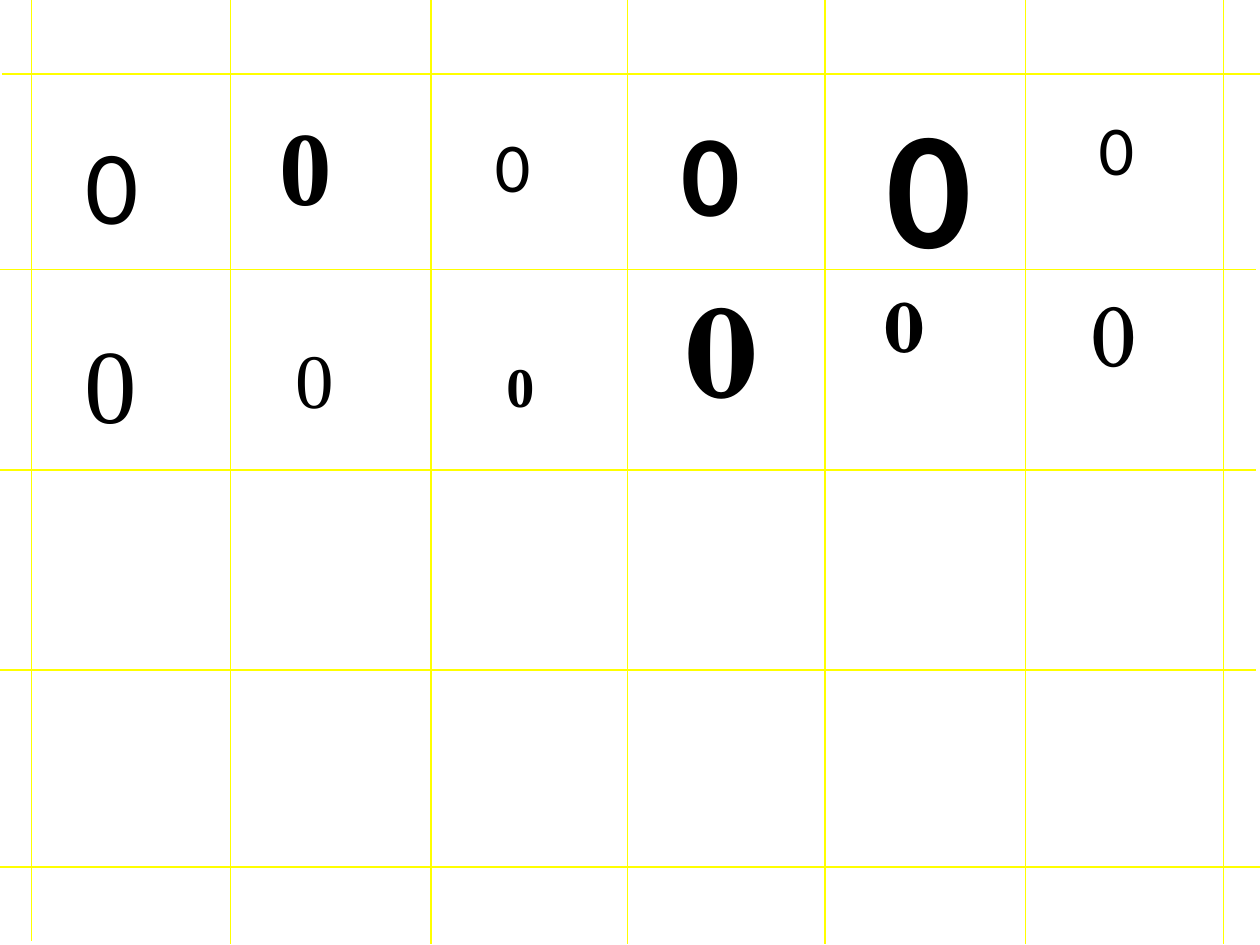
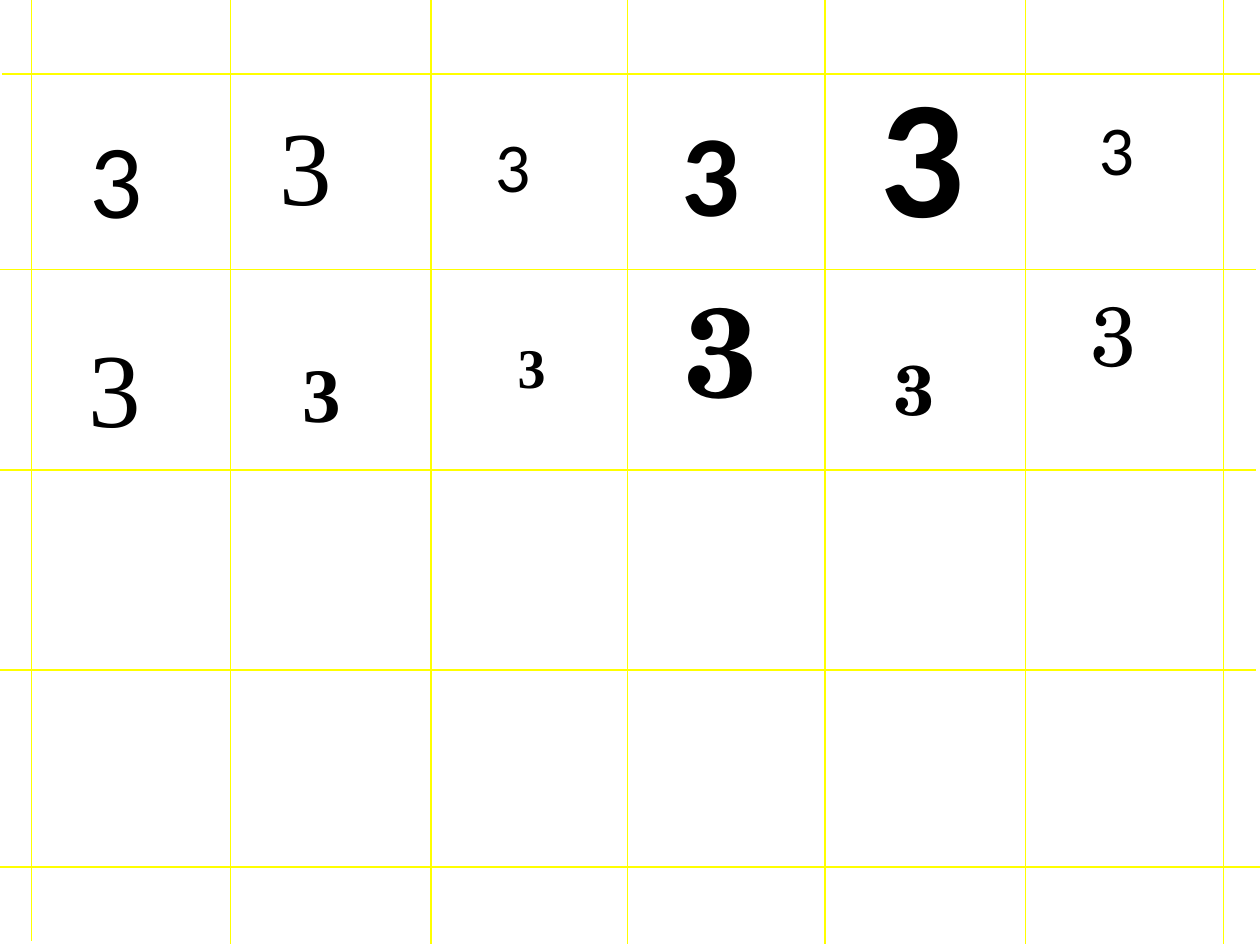
import dataclasses

import pptx
import pptx.dml.color
import pptx.enum.shapes
import pptx.enum.text
import pptx.oxml.ns
import pptx.util
from lxml import etree

Inches = pptx.util.Inches


@dataclasses.dataclass(frozen=True)
class Theme:
    """Colours, fonts, type sizes and line widths of the deck."""
    ink: str = "000000"
    paper: str = "FFFFFF"
    grid: str = "FFFF00"
    grid_width: float = 1
    sans: str = "Calibri"
    serif: str = "Times New Roman"
    school: str = "TeX Gyre Schola"
    tiny: int = 32
    small: int = 40
    medium: int = 44
    large: int = 48
    display: int = 60
    heavy: int = 66
    poster: int = 72
    giant: int = 96


THEME = Theme()
WIDTH, HEIGHT = 10, 7.5
DIGIT_WIDTH = 0.79
BOX_PADDING, LINE_HEIGHT = 0.1, 0.0168

COLUMN_STARTS = {1.83: -0.01, 3.42: -0.01, 4.98: -0.01, 6.55: -0.01,
                 8.14: -0.01, 9.71: -0.01, 0.25: -0.03}
ROW_STARTS = {0.59: 0.02, 3.73: -0.03, 5.32: -0.03, 2.14: -0.03, 6.88: 0}

SAMPLES = {
    "sans display": (0.58, 0.9, THEME.sans, THEME.display, False),
    "serif display top": (2.12, 0.75, THEME.serif, THEME.display, True),
    "sans small": (3.83, 0.92, THEME.sans, THEME.small, False),
    "serif display": (0.57, 2.48, THEME.serif, THEME.display, False),
    "serif medium": (2.25, 2.58, THEME.serif, THEME.medium, False),
    "serif tiny": (3.92, 2.74, THEME.serif, THEME.tiny, True),
    "school poster": (5.34, 2.11, THEME.school, THEME.poster, True),
    "school small": (6.92, 2.19, THEME.school, THEME.small, True),
    "school large": (8.56, 2.19, THEME.school, THEME.large, False),
    "sans heavy": (5.31, 0.75, THEME.sans, THEME.heavy, True),
    "sans giant": (6.94, 0.59, THEME.sans, THEME.giant, True),
    "sans small right": (8.62, 0.79, THEME.sans, THEME.small, False),
}
THREE_CHANGES = {
    "sans display": (0.61, 0.85, THEME.sans, THEME.display, False),
    "serif display top": (2.12, 0.75, THEME.serif, THEME.display, False),
    "serif display": (0.6, 2.51, THEME.serif, THEME.display, False),
    "serif medium": (2.3, 2.69, THEME.serif, THEME.medium, True),
    "serif tiny": (4.01, 2.59, THEME.serif, THEME.tiny, True),
    "school small": (7, 2.69, THEME.school, THEME.small, True),
    "sans giant": (6.88, 0.34, THEME.sans, THEME.giant, True),
}
DIGIT_SLIDES = {"0": SAMPLES, "3": SAMPLES | THREE_CHANGES}


def rgb(value):
    """Return a colour for a hex string."""
    return pptx.dml.color.RGBColor.from_string(value)


def set_values(target, values):
    """Set each named attribute of the target."""
    for name, value in values.items():
        setattr(target, name, value)


def add_digit(s, digit, left, top, font, size, bold):
    """Add one digit in the given typeface, size and weight."""
    height = size * LINE_HEIGHT + BOX_PADDING
    sp = s.shapes.add_textbox(*map(Inches, (left, top, DIGIT_WIDTH, height)))
    tf = sp.text_frame
    set_values(tf, {"word_wrap": True,
                    "auto_size": pptx.enum.text.MSO_AUTO_SIZE.SHAPE_TO_FIT_TEXT})
    r = tf.paragraphs[0].add_run()
    r.text = digit
    set_values(r.font, {"name": font, "size": pptx.util.Pt(size), "bold": bold})
    r.font.color.rgb = rgb(THEME.ink)


def add_grid_line(s, x1, y1, x2, y2):
    """Add one straight grid line."""
    straight = pptx.enum.shapes.MSO_CONNECTOR.STRAIGHT
    line = s.shapes.add_connector(straight, *map(Inches, (x1, y1, x2, y2)))
    line.line.color.rgb = rgb(THEME.grid)
    line.line.width = pptx.util.Pt(THEME.grid_width)
    properties = line._element.spPr
    etree.SubElement(properties, pptx.oxml.ns.qn("a:effectLst"))


def add_grid(s):
    """Add the column and row lines shared by the slides."""
    for x, start in COLUMN_STARTS.items():
        add_grid_line(s, x, start, x, start + HEIGHT)
    for y, start in ROW_STARTS.items():
        add_grid_line(s, start, y, start + WIDTH, y)


def add_digit_slide(prs, digit, samples):
    """Add a slide that shows one digit in many typefaces."""
    s = prs.slides.add_slide(prs.slide_layouts.get_by_name("Blank"))
    s.background.fill.solid()
    s.background.fill.fore_color.rgb = rgb(THEME.paper)
    for sample in samples.values():
        add_digit(s, digit, *sample)
    add_grid(s)


def main():
    """Build and save the deck."""
    prs = pptx.Presentation()
    set_values(prs, {"slide_width": Inches(WIDTH), "slide_height": Inches(HEIGHT)})
    for digit, samples in DIGIT_SLIDES.items():
        add_digit_slide(prs, digit, samples)
    prs.save("out.pptx")


if __name__ == "__main__":
    main()
